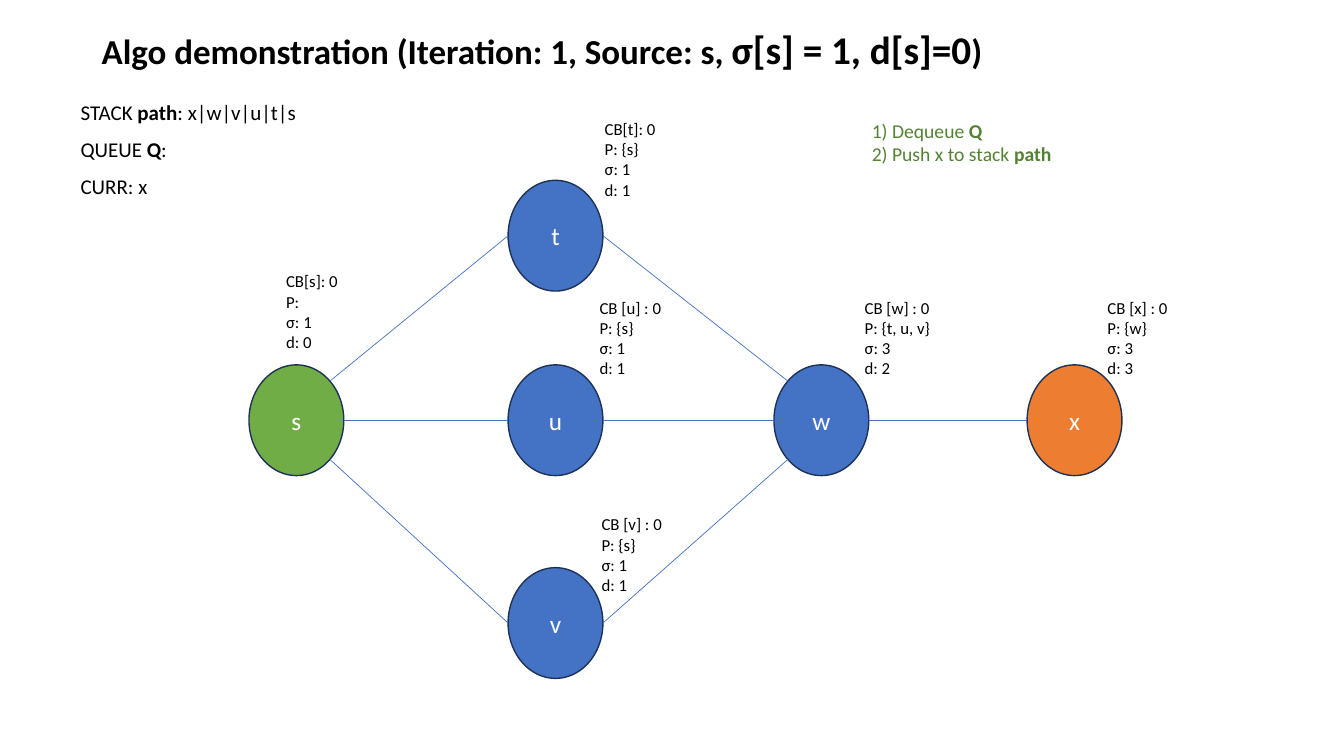
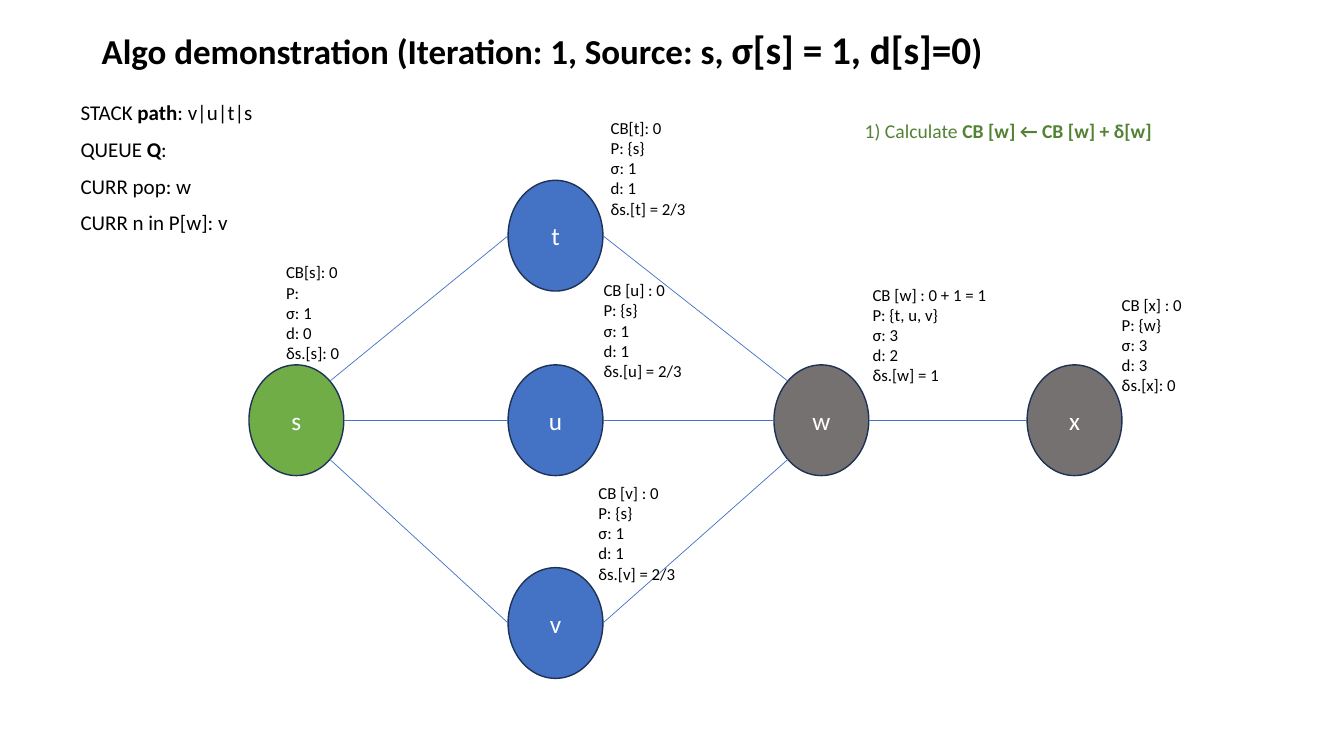
"""Build two slides that trace a graph betweenness algorithm."""
from math import sqrt

from lxml import etree
from pptx import Presentation
from pptx.dml.color import RGBColor
from pptx.enum.shapes import MSO_CONNECTOR, MSO_SHAPE
from pptx.enum.text import MSO_ANCHOR, MSO_AUTO_SIZE, PP_ALIGN
from pptx.oxml.ns import qn
from pptx.util import Cm, Pt

STRAIGHT = MSO_CONNECTOR.STRAIGHT
OVAL = MSO_SHAPE.OVAL
TOP, MIDDLE = MSO_ANCHOR.TOP, MSO_ANCHOR.MIDDLE
NO_FIT, GROW = MSO_AUTO_SIZE.NONE, MSO_AUTO_SIZE.SHAPE_TO_FIT_TEXT
LEFT, CENTER = PP_ALIGN.LEFT, PP_ALIGN.CENTER

BLACK = RGBColor(0x00, 0x00, 0x00)
WHITE = RGBColor(0xFF, 0xFF, 0xFF)
BLUE = RGBColor(0x44, 0x72, 0xC4)
NAVY = RGBColor(0x1E, 0x32, 0x56)
GREEN = RGBColor(0x70, 0xAD, 0x47)
DARK_GREEN = RGBColor(0x54, 0x82, 0x35)
ORANGE = RGBColor(0xED, 0x7D, 0x31)
GRAY = RGBColor(0x76, 0x71, 0x71)

FONT = "Calibri"
TITLE_ONLY = 5
TITLE_RUNS = [
    ("Algo demonstration (Iteration: 1, Source: s, ", 25),
    ("σ[s] = 1, d[s]=0", 28),
    (")", 25),
]
TITLE_BOX = (2.31, 0.48, 29.21, 1.63)
STATE_BOX = (1.78, 2.46, 29.74, 15.06)
STEPS_TOP, STEPS_WIDTH = 2.87, 11.15
LABEL_WIDTH = 4.4

NODE_WIDTH, NODE_HEIGHT = 2.39, 2.79
NODE_CENTERS = {
    "s": (7.47, 10.59),
    "t": (14.0, 5.94),
    "u": (14.0, 10.59),
    "v": (14.0, 15.7),
    "w": (20.7, 10.59),
    "x": (27.08, 10.59),
}
NODE_FILLS = {"s": GREEN, "t": BLUE, "u": BLUE, "v": BLUE}

DIAGONAL = sqrt(0.5)
LEFT_SITE, LOWER_LEFT, LOWER_RIGHT, RIGHT_SITE, UPPER_RIGHT, UPPER_LEFT = 2, 3, 5, 6, 7, 1
SITE_DIRECTIONS = {
    UPPER_LEFT: (-DIAGONAL, -DIAGONAL),
    LEFT_SITE: (-1, 0),
    LOWER_LEFT: (-DIAGONAL, DIAGONAL),
    LOWER_RIGHT: (DIAGONAL, DIAGONAL),
    RIGHT_SITE: (1, 0),
    UPPER_RIGHT: (DIAGONAL, -DIAGONAL),
}
EDGES = [
    ("s", UPPER_RIGHT, "t", LEFT_SITE),
    ("s", RIGHT_SITE, "u", LEFT_SITE),
    ("s", LOWER_RIGHT, "v", LEFT_SITE),
    ("t", RIGHT_SITE, "w", UPPER_LEFT),
    ("u", RIGHT_SITE, "w", LEFT_SITE),
    ("v", RIGHT_SITE, "w", LOWER_LEFT),
    ("w", RIGHT_SITE, "x", LEFT_SITE),
]

SLIDES = [
    {
        "state": [["STACK ", "path", ": x|w|v|u|t|s"], ["QUEUE ", "Q", ":"], ["CURR: x"]],
        "steps": [["1) Dequeue ", "Q"], ["2) Push x to stack ", "path"]],
        "steps_left": 21.72,
        "fills": {"w": BLUE, "x": ORANGE},
        "labels": [
            (6.96, 6.71, ["CB[s]: 0", "P:", "σ: 1", "d: 0"]),
            (14.99, 2.87, ["CB[t]: 0", "P: {s}", "σ: 1", "d: 1"]),
            (14.86, 7.37, ["CB [u] : 0", "P: {s}", "σ: 1", "d: 1"]),
            (14.91, 12.83, ["CB [v] : 0", "P: {s}", "σ: 1", "d: 1"]),
            (21.54, 7.37, ["CB [w] : 0", "P: {t, u, v}", "σ: 3", "d: 2"]),
            (27.66, 7.37, ["CB [x] : 0", "P: {w}", "σ: 3", "d: 3"]),
        ],
    },
    {
        "state": [["STACK ", "path", ": v|u|t|s"], ["QUEUE ", "Q", ":"],
                  ["CURR pop: w"], ["CURR n in P[w]: v"]],
        "steps": [["1) Calculate ", "CB [w] ← CB [w] + δ[w]"]],
        "steps_left": 21.54,
        "fills": {"w": GRAY, "x": GRAY},
        "labels": [
            (6.96, 6.48, ["CB[s]: 0", "P:", "σ: 1", "d: 0", "δs.[s]: 0"]),
            (15.14, 2.84, ["CB[t]: 0", "P: {s}", "σ: 1", "d: 1", "δs.[t] = 2/3"]),
            (14.96, 6.93, ["CB [u] : 0", "P: {s}", "σ: 1", "d: 1", "δs.[u] = 2/3"]),
            (14.83, 12.04, ["CB [v] : 0", "P: {s}", "σ: 1", "d: 1", "δs.[v] = 2/3"]),
            (21.74, 7.04, ["CB [w] : 0 + 1 = 1", "P: {t, u, v}", "σ: 3", "d: 2", "δs.[w] = 1"]),
            (28.02, 7.29, ["CB [x] : 0", "P: {w}", "σ: 3", "d: 3", "δs.[x]: 0"]),
        ],
    },
]


def set_values(target, values):
    """Set each named attribute of the target."""
    for name, value in values.items():
        setattr(target, name, value)


def add_run(paragraph, text, size, color, bold=False):
    """Append a formatted run to a paragraph."""
    run = paragraph.add_run()
    run.text = text
    set_values(run.font, {"name": FONT, "size": Pt(size), "bold": bold})
    run.font.color.rgb = color


def add_text(shapes, box, lines, size, color, fit=GROW, spacing=None):
    """Add a text box whose lines alternate plain and bold runs."""
    text_box = shapes.add_textbox(*map(Cm, box))
    frame = text_box.text_frame
    set_values(frame, {"word_wrap": True, "auto_size": fit, "vertical_anchor": TOP})
    for number, pieces in enumerate(lines):
        paragraph = frame.add_paragraph() if number else frame.paragraphs[0]
        set_values(paragraph, spacing or {})
        for index, piece in enumerate(pieces):
            add_run(paragraph, piece, size, color, bold=index % 2 == 1)


def add_fitted_text(shapes, left, top, width, lines, size, color):
    """Add a text box as tall as its lines."""
    height = round(0.25 + len(lines) * size * 0.043, 2)
    add_text(shapes, (left, top, width, height), lines, size, color)


def add_title(slide):
    """Place and fill the title shared by all slides."""
    title = slide.shapes.title
    names = ("left", "top", "width", "height")
    set_values(title, dict(zip(names, map(Cm, TITLE_BOX))))
    set_values(title.text_frame, {"word_wrap": True, "auto_size": NO_FIT, "vertical_anchor": MIDDLE})
    paragraph = title.text_frame.paragraphs[0]
    set_values(paragraph, {"alignment": LEFT, "line_spacing": 0.9, "space_before": Pt(0)})
    for text, size in TITLE_RUNS:
        add_run(paragraph, text, size, BLACK, bold=True)


def add_node(shapes, name, fill):
    """Add a graph node centred on its grid point."""
    x, y = NODE_CENTERS[name]
    node = shapes.add_shape(OVAL, Cm(x - NODE_WIDTH / 2), Cm(y - NODE_HEIGHT / 2),
                            Cm(NODE_WIDTH), Cm(NODE_HEIGHT))
    node.shadow.inherit = False
    node.fill.solid()
    node.fill.fore_color.rgb = fill
    node.line.color.rgb = NAVY
    node.line.width = Pt(1)
    node.text_frame.vertical_anchor = MIDDLE
    paragraph = node.text_frame.paragraphs[0]
    paragraph.alignment = CENTER
    add_run(paragraph, name, 18, WHITE)
    return node


def site_point(name, site):
    """Return the point of a connection site on a node."""
    x, y = NODE_CENTERS[name]
    across, down = SITE_DIRECTIONS[site]
    return Cm(x + across * NODE_WIDTH / 2), Cm(y + down * NODE_HEIGHT / 2)


def add_edge(shapes, nodes, start, start_site, end, end_site):
    """Join two nodes with a connector glued to their sites."""
    edge = shapes.add_connector(STRAIGHT, *site_point(start, start_site), *site_point(end, end_site))
    edge.line.color.rgb = BLUE
    edge.line.width = Pt(0.5)
    element = edge._element
    etree.SubElement(element.spPr, qn("a:effectLst"))
    glue = element.find(".//" + qn("p:cNvCxnSpPr"))
    for tag, name, site in (("a:stCxn", start, start_site), ("a:endCxn", end, end_site)):
        etree.SubElement(glue, qn(tag), id=str(nodes[name].shape_id), idx=str(site))


def add_graph(slide, fills, labels):
    """Add the grouped graph with its nodes, edges and labels."""
    shapes = slide.shapes.add_group_shape().shapes
    colors = {**NODE_FILLS, **fills}
    nodes = {name: add_node(shapes, name, colors[name]) for name in NODE_CENTERS}
    for edge in EDGES:
        add_edge(shapes, nodes, *edge)
    for left, top, lines in labels:
        add_fitted_text(shapes, left, top, LABEL_WIDTH, [[line] for line in lines], 12, BLACK)


def add_slide(presentation, content):
    """Add one step of the demonstration."""
    slide = presentation.slides.add_slide(presentation.slide_layouts[TITLE_ONLY])
    add_title(slide)
    add_text(slide.shapes, STATE_BOX, content["state"], 15, BLACK, NO_FIT,
             {"line_spacing": 0.9, "space_before": Pt(10)})
    add_graph(slide, content["fills"], content["labels"])
    add_fitted_text(slide.shapes, content["steps_left"], STEPS_TOP, STEPS_WIDTH,
                    content["steps"], 14, DARK_GREEN)


def main():
    """Build and save the presentation."""
    presentation = Presentation()
    set_values(presentation, {"slide_width": Cm(33.87), "slide_height": Cm(19.05)})
    for content in SLIDES:
        add_slide(presentation, content)
    presentation.save("out.pptx")


if __name__ == "__main__":
    main()
